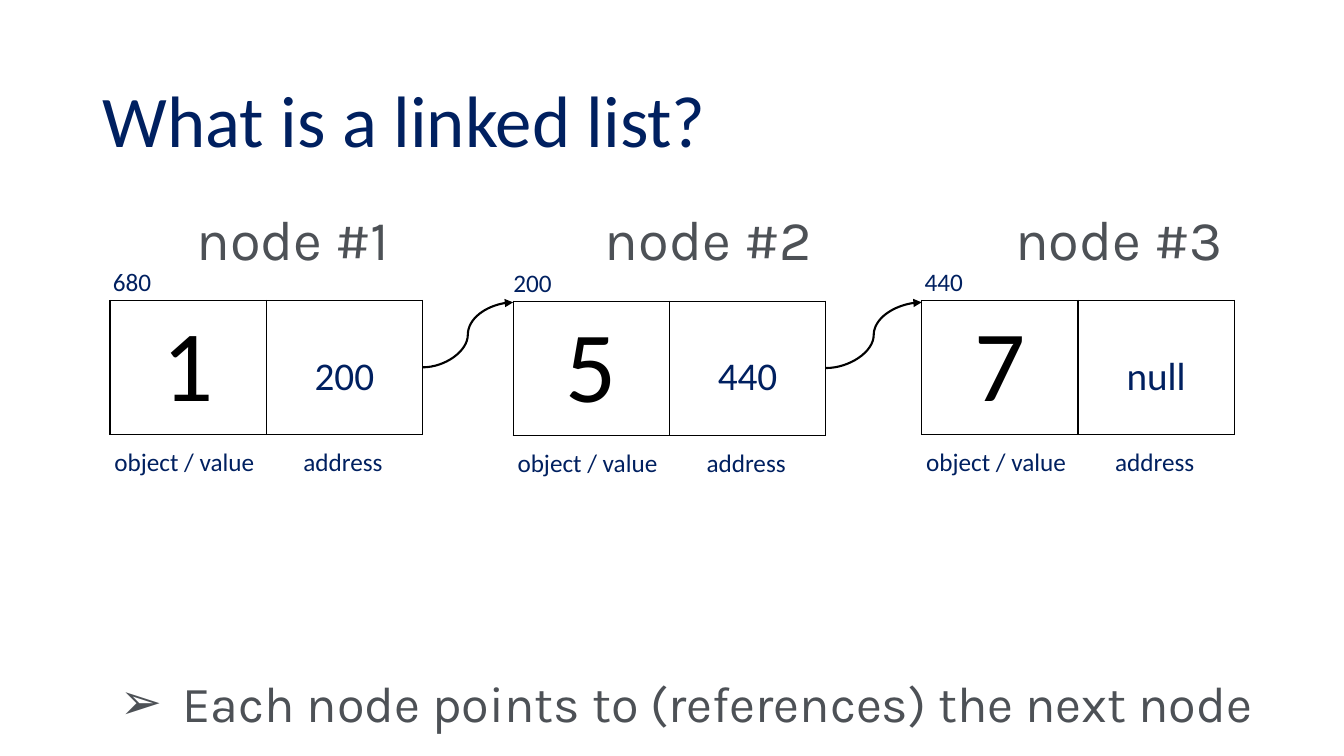
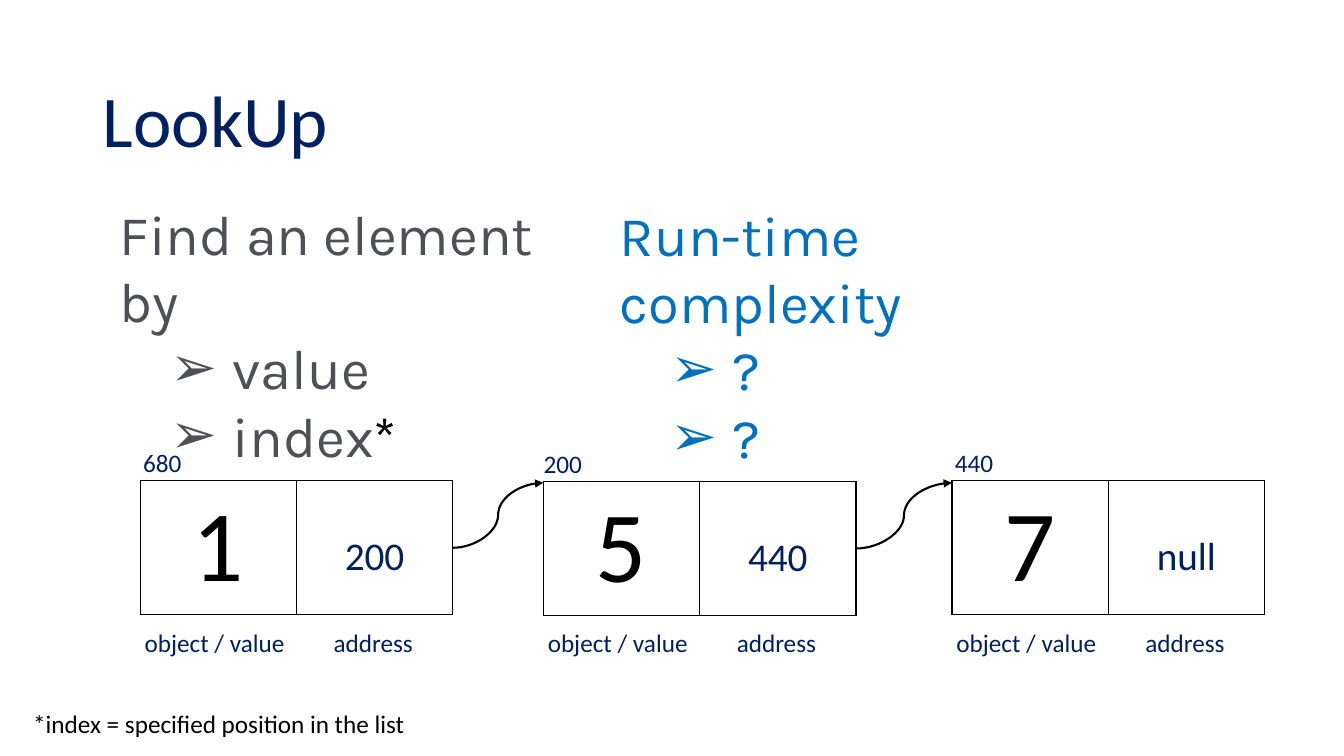
from lxml.etree import SubElement
from pptx import Presentation
from pptx.dml.color import RGBColor
from pptx.enum.shapes import MSO_CONNECTOR
from pptx.enum.text import MSO_ANCHOR, MSO_AUTO_SIZE, PP_ALIGN
from pptx.oxml.ns import qn
from pptx.util import Inches, Pt

COLORS = {"navy": "002060", "gray": "4D5156", "blue": "0070C0", "black": "000000"}

deck = Presentation()
deck.slide_width = Inches(13.33)
deck.slide_height = Inches(7.5)
column = deck.slide_width / 100
row = deck.slide_height / 100


def write(para, text, size=18, font="Calibri", color="navy", align=None, bullet_indent=None):
    span = para.add_run()
    span.text = text
    span.font.size = Pt(size)
    span.font.name = font
    span.font.color.rgb = RGBColor.from_string(COLORS[color])
    if align is not None:
        para.alignment = align
    if bullet_indent is not None:
        properties = para._p.get_or_add_pPr()
        properties.set("marL", str(Inches(bullet_indent)))
        properties.set("indent", str(Inches(-0.62)))
        SubElement(properties, qn("a:buFont"), typeface="Arial")
        SubElement(properties, qn("a:buChar"), char="➢")


def add_box(page, left, top, width, height, wrap=True):
    box = page.shapes.add_textbox(
        round(left * column), round(top * row), round(width * column), round(height * row))
    box.text_frame.word_wrap = wrap
    box.text_frame.auto_size = MSO_AUTO_SIZE.SHAPE_TO_FIT_TEXT
    return box.text_frame


pages = []
for heading in ("What is a linked list?", "LookUp"):
    page = deck.slides.add_slide(deck.slide_layouts[5])
    title = page.shapes.title
    title.left, title.width = round(6.9 * column), round(86.27 * column)
    title.top, title.height = round(8.13 * row), round(16.53 * row)
    title.text_frame.vertical_anchor = MSO_ANCHOR.MIDDLE
    para = title.text_frame.paragraphs[0]
    para.line_spacing = 0.9
    write(para, heading, size=52, align=PP_ALIGN.LEFT)
    pages.append(page)
list_page, lookup_page = pages

lookup_columns = [
    (8.18, 25.73, "gray", "Find an element by", ("value", "index")),
    (45.39, 25.87, "blue", "Run-time complexity", ("?", "?")),
]
for left, top, color, heading, items in lookup_columns:
    frame = add_box(lookup_page, left, top, 37.06, 28.27)
    write(frame.paragraphs[0], heading, size=40, font="Karla", color=color)
    for item in items:
        para = frame.add_paragraph()
        para.level = 1
        write(para, item, size=40, font="Karla", color=color, bullet_indent=1.12)
        if item == "index":
            write(para, "*", size=40, font="Karla", color="black")

CELL_WIDTH = 11.63
NODE_WIDTH = 2 * CELL_WIDTH
NODE_HEIGHT = 17.73
NODES = [
    (0, 0, "680", -1.7, "1", "200"),
    (30, 0.1, "200", -1.9, "5", "440"),
    (60.4, 0, "440", -1.7, "7", "null"),
]
for page, list_left, list_top in ((list_page, 8.18, 39.73), (lookup_page, 10.43, 63.6)):
    for index, (offset, drop, address, address_shift, value, pointer) in enumerate(NODES):
        left, top = list_left + offset, list_top + drop
        table = page.shapes.add_table(
            1, 2, round(left * column), round(top * row),
            round(NODE_WIDTH * column), round(NODE_HEIGHT * row)).table
        table.first_row = False
        table.horz_banding = False
        for cell, text, size, color, margin in (
                (table.cell(0, 0), value, 72, "black", 0.05),
                (table.cell(0, 1), pointer, 28, "navy", 0.52)):
            cell.margin_top = Inches(margin)
            write(cell.text_frame.paragraphs[0], text, size=size, color=color,
                  align=PP_ALIGN.CENTER)
            properties = cell._tc.get_or_add_tcPr()
            for side in ("lnL", "lnR", "lnT", "lnB"):
                border = SubElement(properties, qn(f"a:{side}"), w=str(Pt(1)))
                fill = SubElement(border, qn("a:solidFill"))
                SubElement(fill, qn("a:srgbClr"), val=COLORS["black"])
            cell.fill.background()

        for caption, shift, width in (("object / value", -0.41, 12.08), ("address", 13.65, 7.5)):
            frame = add_box(page, left + shift, top + 18.67, width, 5.33, wrap=False)
            write(frame.paragraphs[0], caption)
        frame = add_box(page, left + address_shift, top - 5.1, 6.68, 5.33)
        write(frame.paragraphs[0], address, align=PP_ALIGN.CENTER)

        if index > 0:
            previous_offset, previous_drop = NODES[index - 1][:2]
            arrow = page.shapes.add_connector(
                MSO_CONNECTOR.CURVE,
                round((list_left + previous_offset + NODE_WIDTH) * column),
                round((list_top + previous_drop + NODE_HEIGHT / 2) * row),
                round(left * column), round((list_top + 0.27) * row))
            arrow.line.color.rgb = RGBColor.from_string(COLORS["black"])
            arrow.line.width = Pt(1.5)
            properties = arrow._element.spPr
            SubElement(properties.get_or_add_ln(), qn("a:tailEnd"), type="triangle")
            SubElement(properties, qn("a:effectLst"))

for number, name_left in enumerate((13.88, 44.26, 74.79), start=1):
    frame = add_box(list_page, name_left, 26.4, 17.55, 10.27)
    write(frame.paragraphs[0], f"node #{number}", size=40, font="Karla", color="gray")

frame = add_box(list_page, 8.18, 88.27, 91.82, 9.47)
write(frame.paragraphs[0], "Each node points to (references) the next node",
      size=36, font="Karla", color="gray", bullet_indent=0.62)

frame = add_box(lookup_page, 1.73, 93.07, 29.48, 5.33, wrap=False)
write(frame.paragraphs[0], "*index = specified position in the list", color="black")

deck.save("out.pptx")
